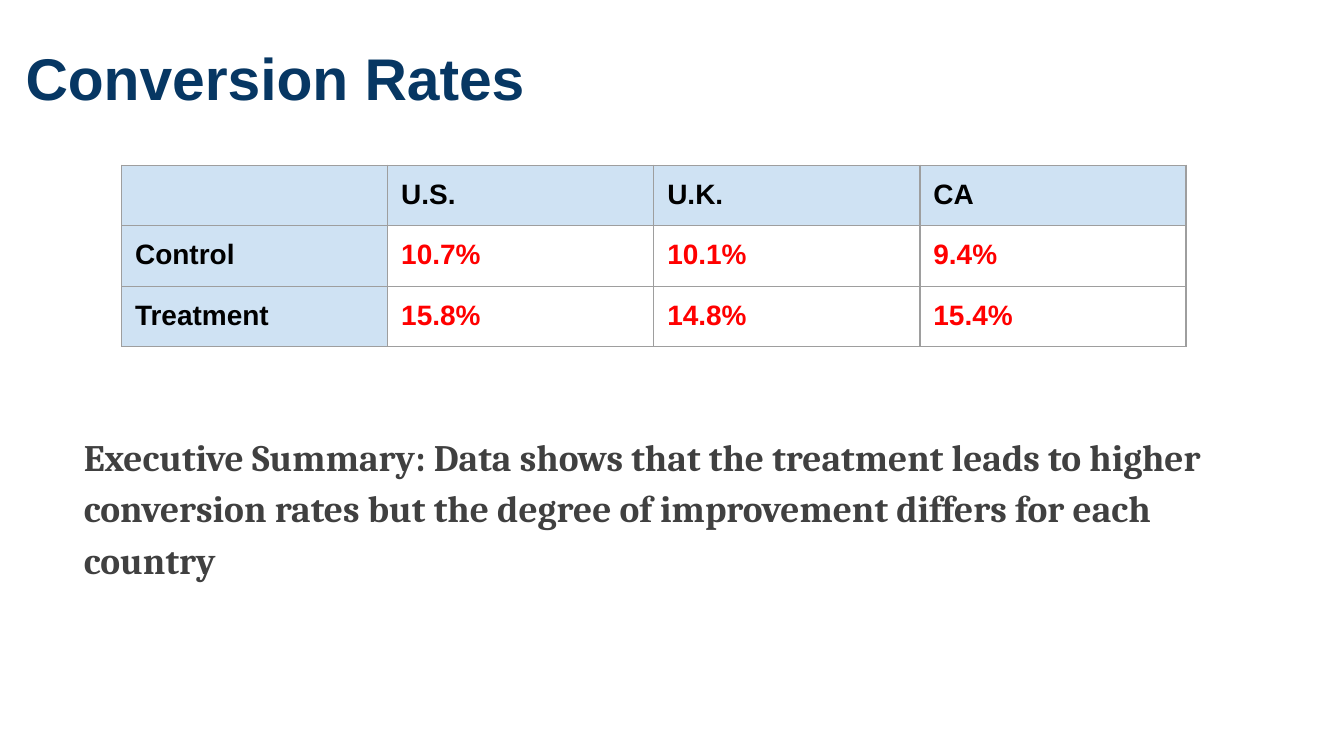
from dataclasses import dataclass

from lxml import etree
from pptx import Presentation
from pptx import util as u
from pptx.dml.color import RGBColor
from pptx.enum import text
from pptx.oxml import ns

PX = 4572
INSET = 20
NAVY = RGBColor(0x07, 0x37, 0x63)
BLACK = RGBColor(0x00, 0x00, 0x00)
RED = RGBColor(0xFF, 0x00, 0x00)
GRAY = RGBColor(0x40, 0x40, 0x40)
WHITE = RGBColor(0xFF, 0xFF, 0xFF)
PALE_BLUE = RGBColor(0xCF, 0xE2, 0xF3)
BORDER = RGBColor(0x9E, 0x9E, 0x9E)


@dataclass(frozen=True)
class Box:
    left: int
    top: int
    width: int
    height: int

    def emu(self) -> tuple[int, ...]:
        return tuple(v * PX for v in (self.left, self.top, self.width, self.height))


@dataclass(frozen=True)
class Rates:
    group: str
    values: tuple[str, ...]


COUNTRIES = Rates("", ("U.S.", "U.K.", "CA"))
GROUPS = (
    Rates("Control", ("10.7%", "10.1%", "9.4%")),
    Rates("Treatment", ("15.8%", "14.8%", "15.4%")),
)


def write(tf, content: str, *, size: float, color: RGBColor,
          font: str = "Arial", spacing: float = 1.0) -> None:
    p = tf.paragraphs[0]
    p.alignment = text.PP_ALIGN.LEFT
    p.line_spacing = spacing
    if not content:
        p._p.get_or_add_endParaRPr().set("sz", str(int(size * 100)))
        return
    r = p.add_run()
    r.text = content
    r.font.name = font
    r.font.size = u.Pt(size)
    r.font.bold = True
    r.font.color.rgb = color


def set_frame(sp, box: Box) -> None:
    sp.left, sp.top, sp.width, sp.height = box.emu()
    tf = sp.text_frame
    tf.word_wrap = True
    tf.auto_size = text.MSO_AUTO_SIZE.SHAPE_TO_FIT_TEXT
    tf.vertical_anchor = text.MSO_ANCHOR.TOP
    tf.margin_left = tf.margin_right = tf.margin_top = tf.margin_bottom = INSET * PX


def format_cell(cell, content: str, is_header: bool) -> None:
    cell.margin_left = cell.margin_right = INSET * PX
    cell.margin_top = cell.margin_bottom = INSET * PX
    tc_pr = cell._tc.get_or_add_tcPr()
    for side in ("a:lnL", "a:lnR", "a:lnT", "a:lnB"):
        ln = etree.SubElement(tc_pr, ns.qn(side), w=str(u.Pt(0.75)))
        fill = etree.SubElement(ln, ns.qn("a:solidFill"))
        etree.SubElement(fill, ns.qn("a:srgbClr"), val=str(BORDER))
    cell.fill.solid()
    cell.fill.fore_color.rgb = PALE_BLUE if is_header else WHITE
    write(cell.text_frame, content, size=15, color=BLACK if is_header else RED)


def add_rates_table(s, box: Box, rows: tuple[Rates, ...]) -> None:
    columns = len(rows[0].values) + 1
    table = s.shapes.add_table(len(rows), columns, *box.emu()).table
    for column in table.columns:
        column.width = box.width * PX // columns
    for i, rates in enumerate(rows):
        table.rows[i].height = box.height * PX // len(rows)
        for j, content in enumerate((rates.group, *rates.values)):
            format_cell(table.cell(i, j), content, i == 0 or j == 0)


def main() -> None:
    prs = Presentation()
    prs.slide_width, prs.slide_height = 2000 * PX, 1125 * PX
    s = prs.slides.add_slide(prs.slide_layouts[5])

    title = s.shapes.title
    set_frame(title, Box(18, 42, 2000, 146))
    write(title.text_frame, "Conversion Rates", size=31.5, color=NAVY)

    add_rates_table(s, Box(181, 246, 1584, 270), (COUNTRIES, *GROUPS))

    summary_box = Box(105, 616, 1796, 340)
    summary = s.shapes.add_textbox(*summary_box.emu())
    set_frame(summary, summary_box)
    write(
        summary.text_frame,
        "Executive Summary: Data shows that the treatment leads to higher "
        "conversion rates but the degree of improvement differs for each country",
        size=20, color=GRAY, font="Cambria", spacing=1.15,
    )

    prs.save("out.pptx")


if __name__ == "__main__":
    main()
